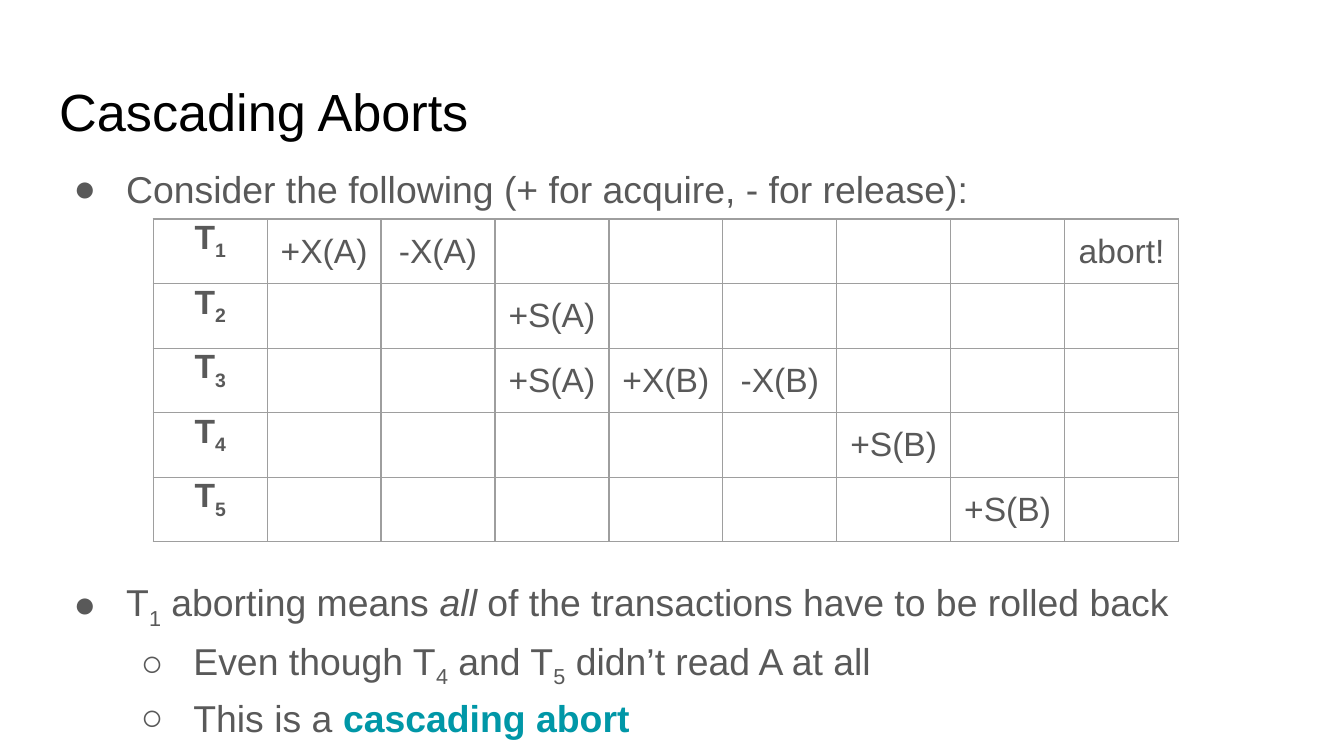
from dataclasses import dataclass

from lxml import etree
from pptx import Presentation
from pptx.dml.color import RGBColor
from pptx.enum.text import MSO_ANCHOR, MSO_AUTO_SIZE, PP_ALIGN
from pptx.oxml.ns import qn
from pptx.util import Inches, Pt

TOP, MIDDLE = MSO_ANCHOR.TOP, MSO_ANCHOR.MIDDLE
LEFT, CENTER = PP_ALIGN.LEFT, PP_ALIGN.CENTER
NO_FIT = MSO_AUTO_SIZE.NONE

COLORS = {"title": "000000", "text": "595959", "accent": "0097A7", "border": "9E9E9E"}
FONT = "Arial"
WIDTH = Inches(10)
HEIGHT = WIDTH * 9 // 16
TITLE_LAYOUT = 5
INSET = Inches(0.1)
COLUMNS, ROWS = 9, 5
TABLE_LEFT, TABLE_TOP = Inches(1.14), Inches(1.63)
TABLE_WIDTH, ROW_HEIGHT = Inches(7.63), Inches(0.43)
TABLE_GAP = 193


@dataclass(frozen=True)
class Span:
    text: str
    color: str = "text"
    bold: bool = False
    italic: bool = False
    subscript: bool = False


@dataclass(frozen=True)
class Bullet:
    spans: tuple[Span, ...]
    level: int = 0
    space_before: float = 0


@dataclass(frozen=True)
class Operation:
    transaction: int
    step: int
    text: str


def transaction(number: int, bold: bool = False) -> tuple[Span, Span]:
    return Span("T", bold=bold), Span(str(number), bold=bold, subscript=True)


BULLETS = (
    Bullet((Span("Consider the following (+ for acquire, - for release):"),)),
    Bullet((*transaction(1), Span(" aborting means "), Span("all", italic=True),
            Span(" of the transactions have to be rolled back")), space_before=TABLE_GAP),
    Bullet((Span("Even though "), *transaction(4), Span(" and "), *transaction(5),
            Span(" didn’t read A at all")), level=1),
    Bullet((Span("This is a "), Span("cascading abort", "accent", bold=True)), level=1),
)
OPERATIONS = (
    Operation(1, 1, "+X(A)"),
    Operation(1, 2, "-X(A)"),
    Operation(1, 8, "abort!"),
    Operation(2, 3, "+S(A)"),
    Operation(3, 3, "+S(A)"),
    Operation(3, 4, "+X(B)"),
    Operation(3, 5, "-X(B)"),
    Operation(4, 6, "+S(B)"),
    Operation(5, 7, "+S(B)"),
)


def apply(target, values: dict) -> None:
    for name, value in values.items():
        setattr(target, name, value)


def place(shape, left: float, top: float, width: float, height: float) -> None:
    apply(shape, {"left": Inches(left), "top": Inches(top),
                  "width": Inches(width), "height": Inches(height)})


def format_frame(frame) -> None:
    apply(frame, {"word_wrap": True, "auto_size": NO_FIT, "vertical_anchor": TOP,
                  "margin_left": INSET, "margin_right": INSET,
                  "margin_top": INSET, "margin_bottom": INSET})


def write_spans(para, spans: tuple[Span, ...], size: float) -> None:
    for item in spans:
        span = para.add_run()
        span.text = item.text
        apply(span.font, {"name": FONT, "size": Pt(size),
                          "bold": item.bold, "italic": item.italic})
        span.font.color.rgb = RGBColor.from_string(COLORS[item.color])
        if item.subscript:
            span._r.get_or_add_rPr().set("baseline", "-25000")


def add_bullet_mark(para, level: int) -> None:
    properties = para._p.get_or_add_pPr()
    properties.set("marL", str(Inches(0.5 * (level + 1))))
    properties.set("indent", str(-Inches(0.39)))
    color = etree.SubElement(properties, qn("a:buClr"))
    etree.SubElement(color, qn("a:srgbClr"), val=COLORS["text"])
    etree.SubElement(properties, qn("a:buFont"), typeface=FONT)
    etree.SubElement(properties, qn("a:buChar"), char="●○"[level])


def add_title(page, text: str) -> None:
    title = page.shapes.title
    place(title, 0.34, 0.49, 9.32, 0.63)
    format_frame(title.text_frame)
    para = title.text_frame.paragraphs[0]
    para.alignment = LEFT
    write_spans(para, (Span(text, "title"),), 28)


def add_body(page, bullets: tuple[Bullet, ...]) -> None:
    box = page.shapes.add_textbox(0, 0, 0, 0)
    place(box, 0.34, 1.09, 9.39, 4.57)
    frame = box.text_frame
    format_frame(frame)
    for index, bullet in enumerate(bullets):
        para = frame.add_paragraph() if index else frame.paragraphs[0]
        apply(para, {"level": bullet.level, "line_spacing": 1.15, "alignment": LEFT})
        if bullet.space_before:
            para.space_before = Pt(bullet.space_before)
        add_bullet_mark(para, bullet.level)
        write_spans(para, bullet.spans, 20)


def format_cell(cell) -> None:
    apply(cell, {"margin_left": INSET, "margin_right": INSET, "margin_top": INSET,
                 "margin_bottom": INSET, "vertical_anchor": MIDDLE})
    properties = cell._tc.get_or_add_tcPr()
    for side in ("lnL", "lnR", "lnT", "lnB"):
        line = etree.SubElement(properties, qn(f"a:{side}"), w=str(Pt(0.75)))
        fill = etree.SubElement(line, qn("a:solidFill"))
        etree.SubElement(fill, qn("a:srgbClr"), val=COLORS["border"])
    cell.fill.background()


def write_cell(cell, spans: tuple[Span, ...]) -> None:
    para = cell.text_frame.paragraphs[0]
    para.alignment = CENTER
    write_spans(para, spans, 18)


def shrink_empty_cell(cell) -> None:
    para = cell.text_frame.paragraphs[0]
    etree.SubElement(para._p, qn("a:endParaRPr"), sz="1400")


def add_schedule(page, operations: tuple[Operation, ...]) -> None:
    table = page.shapes.add_table(ROWS, COLUMNS, TABLE_LEFT, TABLE_TOP,
                                  TABLE_WIDTH, ROW_HEIGHT * ROWS).table
    apply(table, {"first_row": False, "horz_banding": False})
    for cell in table.iter_cells():
        format_cell(cell)
    for row in range(ROWS):
        label = table.cell(row, 0)
        apply(label, {"margin_top": 0, "vertical_anchor": TOP})
        write_cell(label, transaction(row + 1, bold=True))
    for operation in operations:
        write_cell(table.cell(operation.transaction - 1, operation.step),
                   (Span(operation.text),))
    for cell in table.iter_cells():
        if not cell.text:
            shrink_empty_cell(cell)


def main() -> None:
    deck = Presentation()
    apply(deck, {"slide_width": WIDTH, "slide_height": HEIGHT})
    page = deck.slides.add_slide(deck.slide_layouts[TITLE_LAYOUT])
    add_title(page, "Cascading Aborts")
    add_body(page, BULLETS)
    add_schedule(page, OPERATIONS)
    deck.save("out.pptx")


if __name__ == "__main__":
    main()
